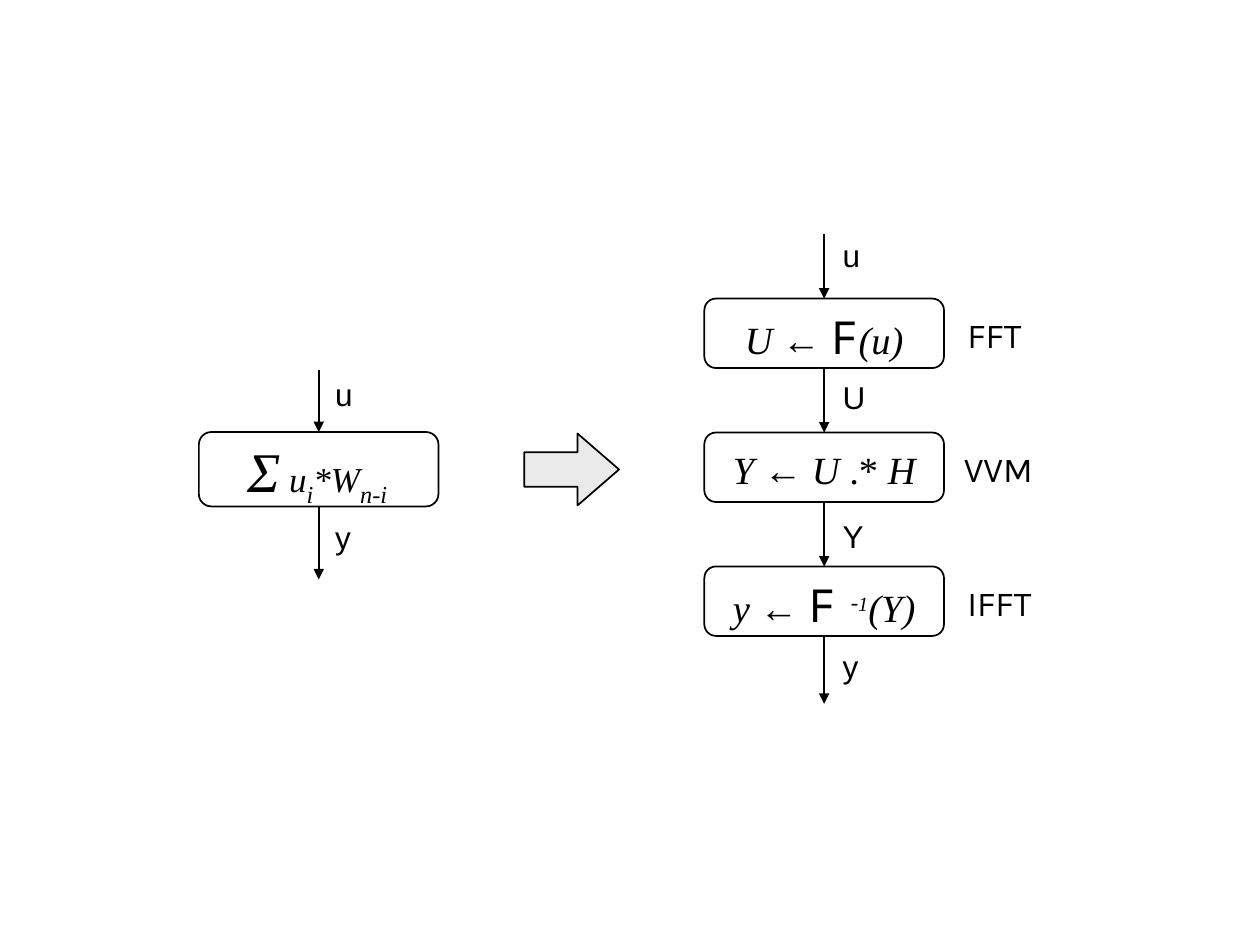
from lxml.etree import SubElement
from pptx import Presentation
from pptx.dml.color import RGBColor
from pptx.enum.shapes import MSO_CONNECTOR as Connector, MSO_SHAPE as Shape
from pptx.enum.text import MSO_AUTO_SIZE as AutoSize, MSO_ANCHOR as Anchor, PP_ALIGN as Align
from pptx.oxml.ns import qn
from pptx.util import Cm, Pt

BLACK = "000000"
SERIF = "Times New Roman"
SANS = "Arial"
SCRIPT = "Noto Sans Mono"
LABEL = "Karla"
BOX_WIDTH = 4.83


def color(value):
    return RGBColor.from_string(value)


def outline(part):
    part.line.color.rgb = color(BLACK)
    part.line.width = Pt(1)


def run(text, size=22, font=SERIF, italic=True, baseline=0):
    return dict(text=text, size=size, font=font, italic=italic, baseline=baseline)


def add_text(slide, box, runs, align=Align.LEFT, wrap=False, inset=0.25):
    textbox = slide.shapes.add_textbox(*map(Cm, box))
    frame = textbox.text_frame
    frame.word_wrap = wrap
    frame.auto_size = AutoSize.SHAPE_TO_FIT_TEXT
    frame.vertical_anchor = Anchor.TOP
    frame.margin_left = frame.margin_right = Cm(inset)
    frame.margin_top = frame.margin_bottom = Cm(0.13)
    paragraph = frame.paragraphs[0]
    paragraph.alignment = align
    for part in runs:
        piece = paragraph.add_run()
        piece.text = part["text"]
        piece.font.size = Pt(part["size"])
        piece.font.name = part["font"]
        piece.font.italic = part["italic"]
        piece.font.color.rgb = color(BLACK)
        if part["baseline"]:
            piece.font._element.set("baseline", str(part["baseline"] * 1000))


def add_shape(slide, kind, box, adjustments, fill=None):
    shape = slide.shapes.add_shape(kind, *map(Cm, box))
    shape.shadow.inherit = False
    for index, value in enumerate(adjustments):
        shape.adjustments[index] = value
    if fill:
        shape.fill.solid()
        shape.fill.fore_color.rgb = color(fill)
    else:
        shape.fill.background()
    outline(shape)


def add_signal(slide, x, top, length, name, label_dx, label_dy, label_width):
    arrow = slide.shapes.add_connector(
        Connector.STRAIGHT, Cm(x), Cm(top), Cm(x), Cm(top + length))
    outline(arrow)
    SubElement(arrow.line._get_or_add_ln(), qn("a:tailEnd"), type="triangle")
    SubElement(arrow._element.spPr, qn("a:effectLst"))
    add_text(slide, (x + label_dx, top + label_dy, label_width, 1.02),
             [run(name, size=18, font=SANS, italic=False)])


def add_stage(slide, box):
    add_shape(slide, Shape.ROUNDED_RECTANGLE, box, [0.167])


def direct_convolution(slide, left, top):
    height, inflow, outflow = 1.5, 1.25, 1.47
    center = left + BOX_WIDTH / 2
    add_signal(slide, center, top - inflow, inflow, "u", 0.08, -0.03, 0.86)
    add_signal(slide, center, top + height, outflow, "y", 0.08, 0.1, 0.81)
    add_stage(slide, (left, top, BOX_WIDTH, height))
    add_text(slide, (left + 1.57, top + 0.25, 2.49, 1.42), [
        run("u", size=20), run("i", size=24, baseline=-25),
        run("*W", size=20), run("n-i", size=24, baseline=-25)])
    add_text(slide, (left + 0.74, top - 0.03, 1.17, 1.63), [run("Σ", size=32)])


def fast_convolution(slide, left, top):
    height, pitch, outflow = 1.4, 2.7, 1.37
    gap = pitch - height
    center = left + BOX_WIDTH / 2
    stages = [
        ("FFT", 5.05, 1.63, 0.08, [
            run("U "), run("← ", font=SANS),
            run("F", size=26, font=SCRIPT, italic=False), run("(u)")]),
        ("VVM", 4.98, 1.98, 0.15, [
            run("Y "), run("←", font=SANS), run(" U "),
            run(".* ", italic=False), run("H")]),
        ("IFFT", 5.05, 1.88, 0.08, [
            run("y "), run("← ", font=SANS),
            run("F", size=26, font=SCRIPT, italic=False),
            run(" ", size=14, font=SCRIPT, italic=False),
            run("-", baseline=30), run("1", size=20, baseline=30), run("(Y)")]),
    ]
    for index, (name, name_dx, name_width, formula_dy, formula) in enumerate(stages):
        stage_top = top + index * pitch
        add_stage(slide, (left, stage_top, BOX_WIDTH, height))
        add_text(slide, (left, stage_top + formula_dy, BOX_WIDTH, 1.35), formula,
                 align=Align.CENTER, wrap=True, inset=0.23)
        add_text(slide, (left + name_dx, stage_top + 0.18, name_width, 1.12),
                 [run(name, size=20, font=LABEL, italic=False)])

    signals = [("u", gap, -0.1, 0.86), ("U", gap, 0.08, 0.97),
               ("Y", gap, 0.17, 0.91), ("y", outflow, 0.1, 0.81)]
    for index, (name, length, label_dy, label_width) in enumerate(signals):
        add_signal(slide, center, top - gap + index * pitch, length,
                   name, 0.12, label_dy, label_width)


def main():
    deck = Presentation()
    deck.slide_width, deck.slide_height = Cm(25.4), Cm(19.05)
    slide = deck.slides.add_slide(deck.slide_layouts[6])
    direct_convolution(slide, left=4.01, top=8.71)
    add_shape(slide, Shape.RIGHT_ARROW, (10.57, 8.74, 1.91, 1.45),
              [0.479, 0.577], fill="EAEAEA")
    fast_convolution(slide, left=14.2, top=6.02)
    deck.save("out.pptx")


if __name__ == "__main__":
    main()
